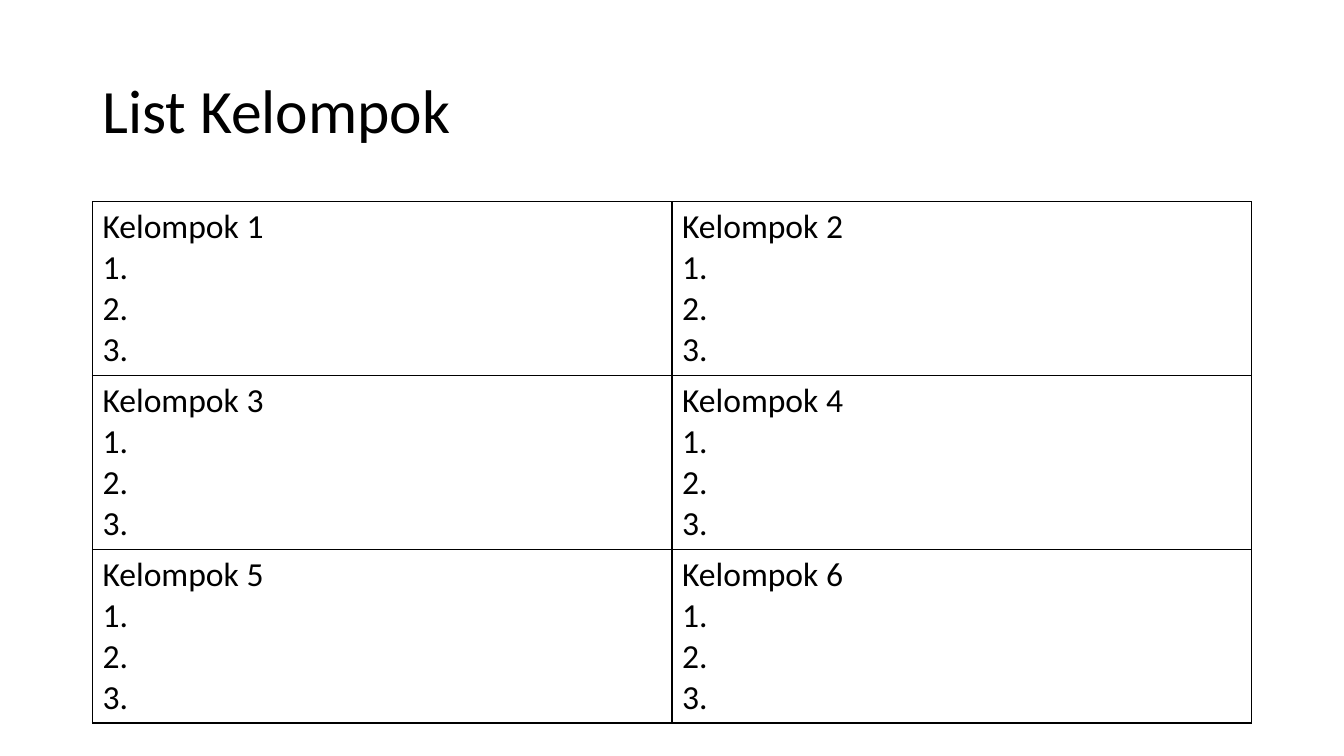
from dataclasses import dataclass

from lxml.etree import SubElement
from pptx import Presentation
from pptx.dml.color import RGBColor
from pptx.enum.text import MSO_ANCHOR
from pptx.oxml.ns import qn
from pptx.util import Cm, Pt


@dataclass(frozen=True)
class Theme:
    """Hold the colours and type sizes of the slide."""

    font: str = "Calibri"
    ink: str = "000000"
    title_size: int = 44
    body_size: int = 24
    border_width: int = 1


THEME = Theme()
LEFT, WIDTH = Cm(2.33), Cm(29.21)
ROWS, COLUMNS, MEMBERS = 3, 2, 3


def style_paragraph(paragraph, size):
    """Apply the theme font at the given size."""
    paragraph.font.name = THEME.font
    paragraph.font.size = Pt(size)
    paragraph.font.color.rgb = RGBColor.from_string(THEME.ink)


def add_title(slide, text):
    """Add the vertically centred slide title."""
    shape = slide.shapes.add_textbox(LEFT, Cm(1.01), WIDTH, Cm(3.68))
    frame = shape.text_frame
    frame.word_wrap = True
    frame.vertical_anchor = MSO_ANCHOR.MIDDLE
    paragraph = frame.paragraphs[0]
    paragraph.text = text
    paragraph.line_spacing = 0.9
    style_paragraph(paragraph, THEME.title_size)


def add_borders(cell):
    """Draw a thin solid line on all four sides of a cell."""
    properties = cell._tc.get_or_add_tcPr()
    for side in ("a:lnL", "a:lnR", "a:lnT", "a:lnB"):
        line = SubElement(properties, qn(side), w=str(Pt(THEME.border_width)))
        fill = SubElement(line, qn("a:solidFill"))
        SubElement(fill, qn("a:srgbClr"), val=THEME.ink)


def fill_group_cell(cell, number):
    """Write a group heading and its numbered member lines."""
    members = [f"{member}." for member in range(1, MEMBERS + 1)]
    cell.text = "\n".join([f"Kelompok {number}", *members])
    for paragraph in cell.text_frame.paragraphs:
        style_paragraph(paragraph, THEME.body_size)
    add_borders(cell)
    cell.fill.background()


def add_group_table(slide):
    """Add the table of groups, numbered row by row."""
    row_height = Cm(4.38)
    table = slide.shapes.add_table(
        ROWS, COLUMNS, LEFT, Cm(5.08), WIDTH, row_height * ROWS
    ).table
    table.first_row = False
    table.horz_banding = False
    for number, cell in enumerate(table.iter_cells(), start=1):
        fill_group_cell(cell, number)


def main():
    """Build and save the slide."""
    presentation = Presentation()
    presentation.slide_width = Cm(33.87)
    presentation.slide_height = Cm(19.05)
    slide = presentation.slides.add_slide(presentation.slide_layouts[6])
    add_title(slide, "List Kelompok")
    add_group_table(slide)
    presentation.save("out.pptx")


if __name__ == "__main__":
    main()
